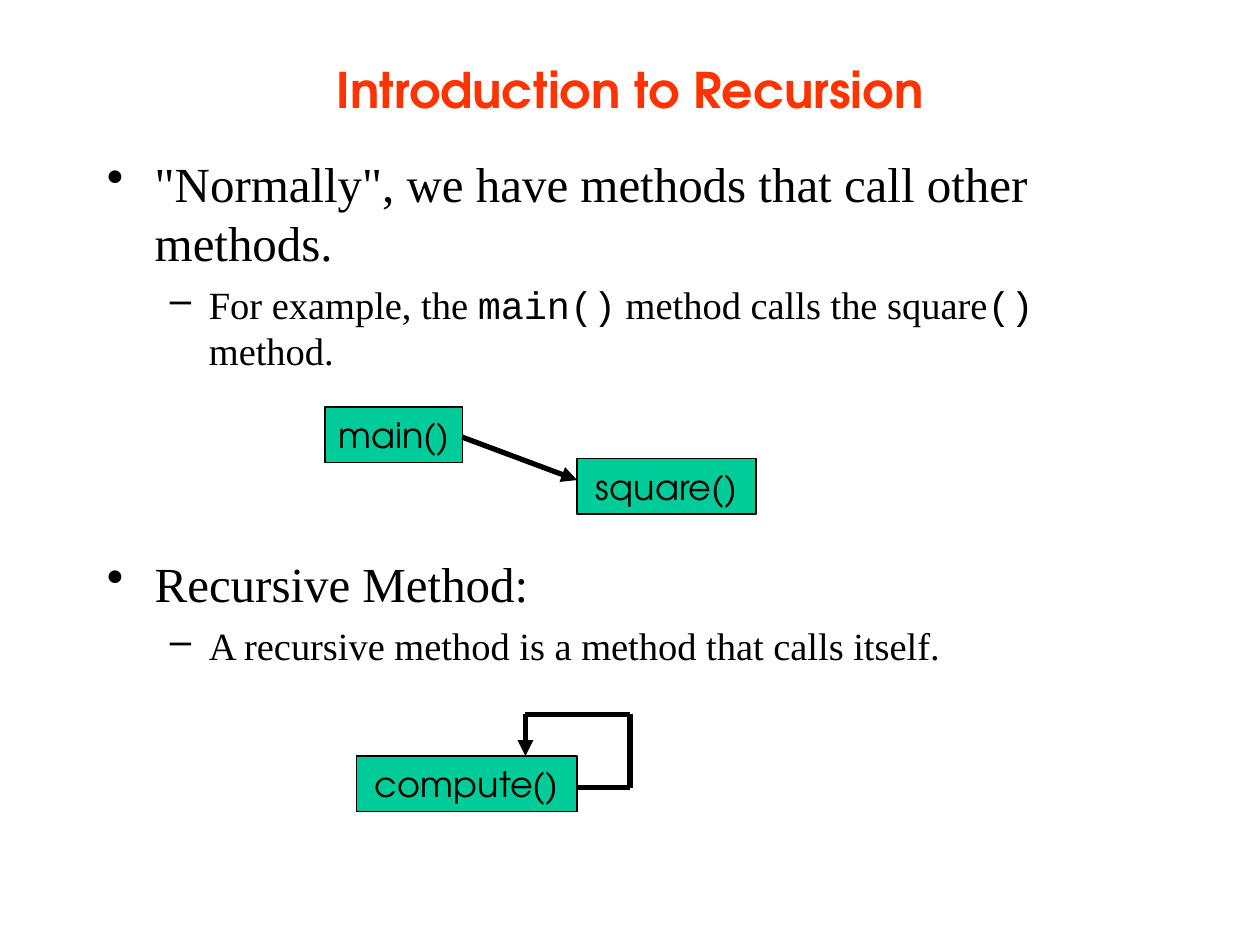
import pptx
import pptx.util
import pptx.dml.color
import pptx.enum.shapes
import pptx.enum.text
import pptx.oxml
import pptx.oxml.ns
from lxml import etree

Inches, Pt = pptx.util.Inches, pptx.util.Pt
RED = pptx.dml.color.RGBColor(0xFF, 0x33, 0x00)
GREEN = pptx.dml.color.RGBColor(0x00, 0xCC, 0x99)
BLACK = pptx.dml.color.RGBColor(0, 0, 0)
SANS, SERIF, MONO = "TeX Gyre Adventor", "Times New Roman", "Courier New"
CENTER = pptx.enum.text.PP_ALIGN.CENTER
MIDDLE = pptx.enum.text.MSO_ANCHOR.MIDDLE

deck = pptx.Presentation()
deck.slide_width, deck.slide_height = Inches(10), Inches(7.5)
slide = deck.slides.add_slide(deck.slide_layouts[6])
shapes = slide.shapes


def style(run, font, size, color=BLACK):
    run.font.name, run.font.size = font, Pt(size)
    run.font.color.rgb = color


def link(start, end, arrow=False):
    line = shapes.add_connector(pptx.enum.shapes.MSO_CONNECTOR.STRAIGHT,
                                *(Inches(n) for n in start + end))
    line.line.color.rgb, line.line.width = BLACK, Pt(3)
    if arrow:
        tip = etree.SubElement(line.line._get_or_add_ln(), pptx.oxml.ns.qn("a:tailEnd"))
        tip.set("type", "triangle")
    etree.SubElement(line._element.spPr, pptx.oxml.ns.qn("a:effectLst"))
    return line


# Title
title = shapes.add_textbox(Inches(0.75), Inches(0.08), Inches(8.5), Inches(1.25))
frame = title.text_frame
frame.word_wrap, frame.vertical_anchor = True, MIDDLE
frame.text = "Introduction to Recursion"
frame.paragraphs[0].alignment = CENTER
style(frame.paragraphs[0].runs[0], SANS, 28, RED)
frame.paragraphs[0].runs[0].font.bold = True

# Bulleted text: level, space before, runs
items = [
    (0, 7, [('"Normally", we have methods that call other methods.', SERIF)]),
    (1, 5.5, [("For example, the ", SERIF), ("main()", MONO),
              (" method calls the square", SERIF), ("()", MONO), (" method.", SERIF)]),
    (0, 103, [("Recursive Method:", SERIF)]),
    (1, 5.5, [("A recursive method is a method that calls itself.", SERIF)]),
]
levels = [("•", 28, 0.38, -0.38), ("–", 22, 0.81, -0.31)]
body = shapes.add_textbox(Inches(0.75), Inches(1.17), Inches(8.5), Inches(5.92))
frame = body.text_frame
frame.word_wrap = True
for i, (level, gap, parts) in enumerate(items):
    para = frame.add_paragraph() if i else frame.paragraphs[0]
    mark, size, left, hang = levels[level]
    para.level, para.space_before = level, Pt(gap)
    props = para._p.get_or_add_pPr()
    props.set("marL", str(Inches(left)))
    props.set("indent", str(Inches(hang)))
    etree.SubElement(props, pptx.oxml.ns.qn("a:buChar")).set("char", mark)
    for text, font in parts:
        run = para.add_run()
        run.text = text
        style(run, font, size)

# Method boxes
boxes = {}
for name, left, top, width in [("main()", 2.58, 3.23, 1.09),
                               ("square()", 4.58, 3.64, 1.42),
                               ("compute()", 2.83, 6, 1.75)]:
    box = shapes.add_shape(pptx.enum.shapes.MSO_SHAPE.RECTANGLE, Inches(left),
                           Inches(top), Inches(width), Inches(0.44))
    box.shadow.inherit = False
    box.fill.solid()
    box.fill.fore_color.rgb = GREEN
    box.line.color.rgb, box.line.width = BLACK, Pt(0.75)
    frame = box.text_frame
    frame.word_wrap, frame.vertical_anchor = False, MIDDLE
    frame.text = name
    para = frame.paragraphs[0]
    para.alignment, para.space_before = CENTER, Pt(12.5)
    style(para.runs[0], SANS, 20)
    boxes[name] = box

# Call from main to square
link((3.67, 3.47), (4.58, 3.81), arrow=True)

# Loop from compute back to itself
loop = [(4.58, 6.25), (5, 6.25), (5, 5.67), (4.17, 5.67), (4.17, 6)]
for start, end in zip(loop, loop[1:]):
    link(start, end, arrow=end == loop[-1])

deck.save("out.pptx")
